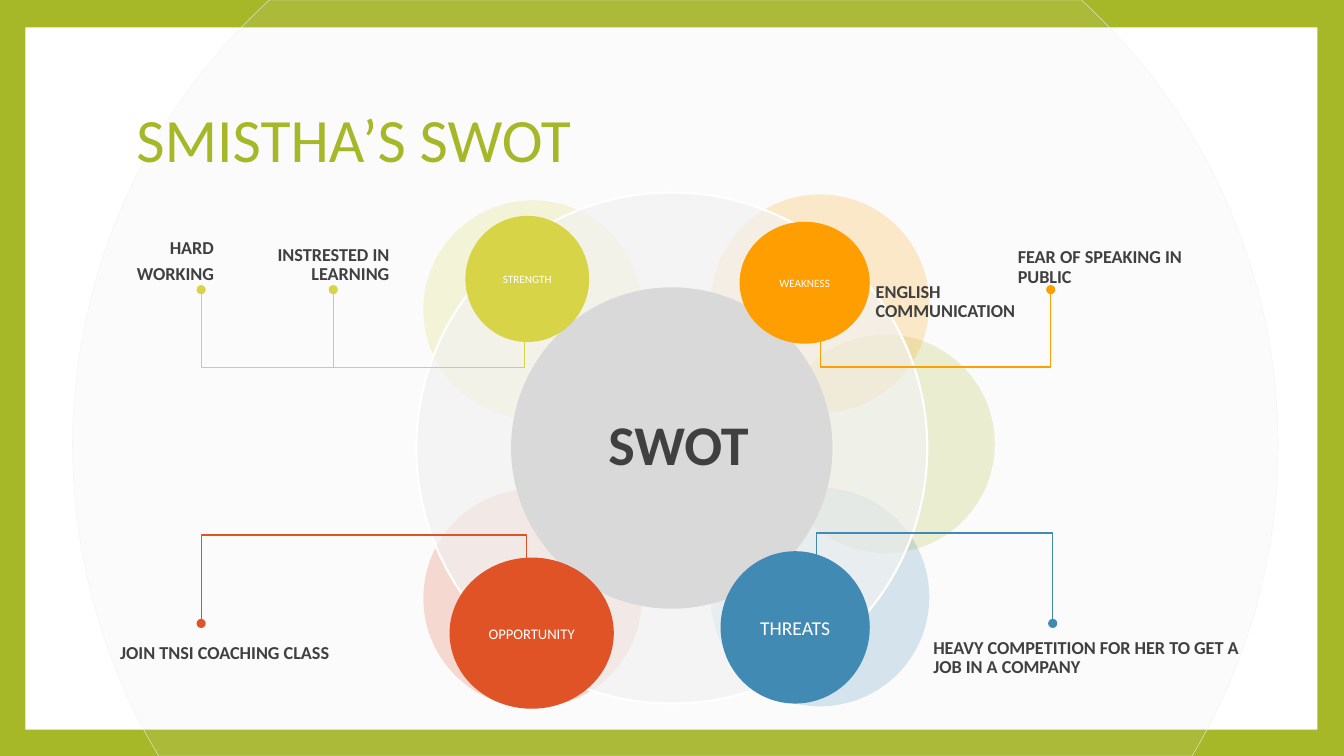
from math import asin, cos, pi, sin

from lxml.etree import SubElement
from pptx import Presentation
from pptx.dml.color import RGBColor
from pptx.enum.shapes import MSO_CONNECTOR, MSO_SHAPE
from pptx.enum.text import MSO_ANCHOR, PP_ALIGN
from pptx.oxml.ns import qn
from pptx.util import Cm, Pt

LIME = RGBColor(0xA6, 0xB7, 0x27)
YELLOW = RGBColor(0xD7, 0xD4, 0x47)
ORANGE = RGBColor(0xFE, 0x9E, 0x00)
RED = RGBColor(0xDF, 0x53, 0x27)
BLUE = RGBColor(0x41, 0x8A, 0xB3)
WHITE = RGBColor(0xFF, 0xFF, 0xFF)
PALE = RGBColor(0xF2, 0xF2, 0xF2)
GREY = RGBColor(0xD9, 0xD9, 0xD9)
DARK = RGBColor(0x40, 0x40, 0x40)
LEFT, CENTER, RIGHT = PP_ALIGN.LEFT, PP_ALIGN.CENTER, PP_ALIGN.RIGHT

# All lengths are in centimetres; boxes are left, top, width, height.
WIDTH, HEIGHT = 33.87, 19.05
PANEL = (0.64, 0.69, 32.56, 17.7)
BACKDROP = (17.02, 11.23, 15.19)  # centre x, centre y, radius
RING = (10.49, 4.85, 12.88, 12.88)
CORE = (12.88, 7.24, 8.1, 8.1)

HALO_SIZE = 5.51
HALOS = [
    (19.56, 8.43, LIME),
    (17.91, 12.29, BLUE),
    (17.91, 4.9, ORANGE),
    (10.67, 12.32, RED),
    (10.67, 5.05, YELLOW),
]

TITLE = ("SMISTHA’S SWOT", (3.18, 1.7, 27.43, 3.76))
LABELS = [
    ("HARD\nWORKING", (2.82, 5.05, 2.57, 3.07), RIGHT, 13),
    ("INSTRESTED IN LEARNING", (6.86, 5.51, 2.95, 2.34), RIGHT, 13),
    ("FEAR OF SPEAKING IN PUBLIC", (25.65, 5.82, 4.88, 1.85), LEFT, 13),
    ("ENGLISH COMMUNICATION", (22.07, 6.86, 4.14, 1.5), LEFT, 13),
    ("SWOT", (14.94, 10.41, 4.32, 1.75), CENTER, 40),
    ("JOIN TNSI COACHING CLASS", (1.3, 15.52, 6.99, 1.88), RIGHT, 13),
    ("HEAVY COMPETITION FOR HER TO GET A JOB IN A COMPANY",
     (23.52, 15.44, 7.82, 2.29), LEFT, 13),
]
BALLS = [
    ("STRENGTH", (11.73, 5.44, 3.12, 3.18), YELLOW, 8),
    ("WEAKNESS", (18.64, 5.59, 3.28, 3.07), ORANGE, 8),
    ("THREATS", (18.16, 13.89, 3.76, 3.84), BLUE, 14),
    ("OPPORTUNITY", (11.33, 14.05, 4.14, 3.81), RED, 10.5),
]

DOT_SIZE = 0.23
BEND = 0.64  # how far an elbow runs past its ball before turning
# Start of the elbow, centre of the dot at its end, colour
LINKS = [
    ((13.23, 8.61), (8.4, 7.3), YELLOW),
    ((13.23, 8.61), (5.07, 7.3), YELLOW),
    ((13.28, 14.12), (5.07, 15.71), RED),
    ((20.68, 8.61), (26.48, 7.3), ORANGE),
    ((20.57, 14.07), (26.53, 15.71), BLUE),
]


def paint(shape, fill, opacity=100, line=None, line_width=0):
    shape.shadow.inherit = False
    shape.fill.solid()
    shape.fill.fore_color.rgb = fill
    if opacity < 100:
        color = shape.element.spPr.find(qn("a:solidFill"))[0]
        SubElement(color, qn("a:alpha"), val=str(opacity * 1000))
    if line is None:
        shape.line.fill.background()
    else:
        shape.line.color.rgb = line
        shape.line.width = Pt(line_width)


def add_preset(slide, kind, box, fill, **style):
    shape = slide.shapes.add_shape(kind, *map(Cm, box))
    paint(shape, fill, **style)
    return shape


def write(shape, text, size, color, bold=False, align=LEFT, spacing=1.0, after=0):
    frame = shape.text_frame
    frame.word_wrap = True
    frame.vertical_anchor = MSO_ANCHOR.MIDDLE
    frame.text = text
    for paragraph in frame.paragraphs:
        paragraph.alignment = align
        paragraph.line_spacing = spacing
        paragraph.space_after = Pt(after)
        font = paragraph.runs[0].font
        font.name, font.size, font.bold = "Calibri", Pt(size), bold
        font.color.rgb = color


def add_label(slide, text, box, align, size):
    label = slide.shapes.add_textbox(*map(Cm, box))
    frame = label.text_frame
    frame.margin_left = frame.margin_right = 0
    frame.margin_top = frame.margin_bottom = 0
    write(label, text, size, DARK, bold=True, align=align,
          spacing=0.9, after=round(size * 0.35, 1))


def add_backdrop(slide):
    """Draw the large circle, cut off at the top and bottom of the slide."""
    x, y, radius = BACKDROP
    first, last = -asin(y / radius), asin((HEIGHT - y) / radius)
    steps = 60
    angles = [first + (last - first) * i / steps for i in range(steps + 1)]
    angles += [pi - angle for angle in reversed(angles)]
    points = [(Cm(x + radius * cos(a)), Cm(y + radius * sin(a))) for a in angles]
    builder = slide.shapes.build_freeform(*points[0])
    builder.add_line_segments(points[1:], close=True)
    paint(builder.convert_to_shape(), GREY, opacity=10, line=PALE, line_width=0.25)


def add_elbow(slide, start, end, color):
    """Draw a quarter-turned elbow that bends beyond its start point."""
    (x1, y1), (x2, y2) = start, end
    middle_x, middle_y = (x1 + x2) / 2, (y1 + y2) / 2
    half_width, half_height = abs(y2 - y1) / 2, abs(x2 - x1) / 2
    upward = y2 < y1
    flip = 1 if (x2 > x1) == upward else -1
    # The box is given unturned; begin right of end mirrors it sideways.
    connector = slide.shapes.add_connector(
        MSO_CONNECTOR.ELBOW,
        Cm(middle_x + half_width), Cm(middle_y + flip * half_height),
        Cm(middle_x - half_width), Cm(middle_y - flip * half_height))
    connector.line.color.rgb = color
    connector.line.width = Pt(0.79)
    properties = connector.element.spPr
    properties.find(qn("a:xfrm")).set("rot", str((90 if upward else 270) * 60000))
    adjustments = properties.find(qn("a:prstGeom")).find(qn("a:avLst"))
    bend = round(-BEND / abs(y2 - y1) * 100000)
    SubElement(adjustments, qn("a:gd"), name="adj1", fmla=f"val {bend}")
    SubElement(properties, qn("a:effectLst"))


def main():
    presentation = Presentation()
    presentation.slide_width, presentation.slide_height = Cm(WIDTH), Cm(HEIGHT)
    slide = presentation.slides.add_slide(presentation.slide_layouts[5])
    slide.background.fill.solid()
    slide.background.fill.fore_color.rgb = LIME
    circle = MSO_SHAPE.OVAL

    add_preset(slide, MSO_SHAPE.RECTANGLE, PANEL, WHITE)
    add_backdrop(slide)
    for left, top, color in HALOS:
        add_preset(slide, circle, (left, top, HALO_SIZE, HALO_SIZE), color, opacity=20)
    add_preset(slide, circle, RING, PALE, opacity=68, line=WHITE, line_width=1.5)
    add_preset(slide, circle, CORE, GREY)

    title = slide.shapes.title
    text, box = TITLE
    title.left, title.top, title.width, title.height = map(Cm, box)
    write(title, text, 44, LIME, spacing=0.9)
    slide.shapes.element.append(title.element)  # bring in front of the panel

    for label in LABELS:
        add_label(slide, *label)
    for text, box, color, size in BALLS:
        ball = add_preset(slide, circle, box, color)
        write(ball, text, size, WHITE, align=CENTER)

    radius = DOT_SIZE / 2
    for start, (x, y), color in LINKS:
        add_preset(slide, circle, (x - radius, y - radius, DOT_SIZE, DOT_SIZE), color)
        edge = y + radius if y < start[1] else y - radius
        add_elbow(slide, start, (x, edge), color)

    presentation.save("out.pptx")


if __name__ == "__main__":
    main()
